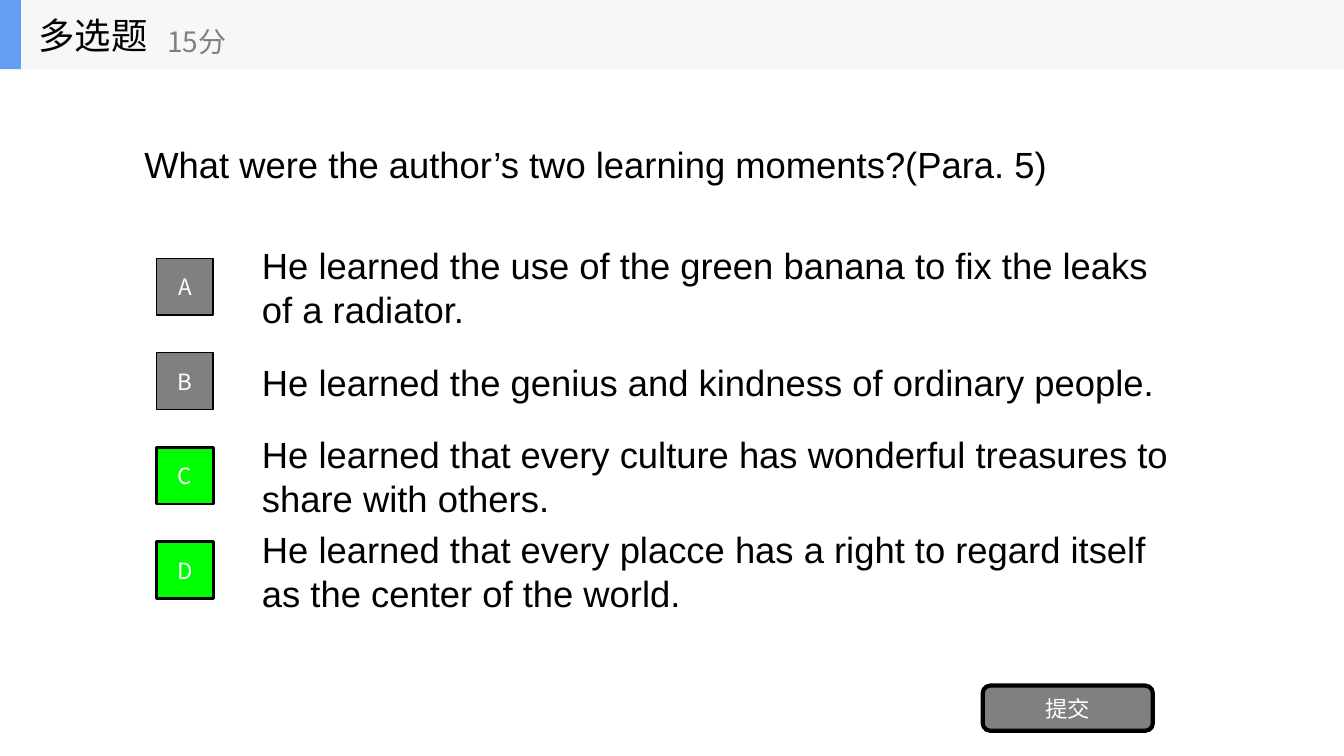
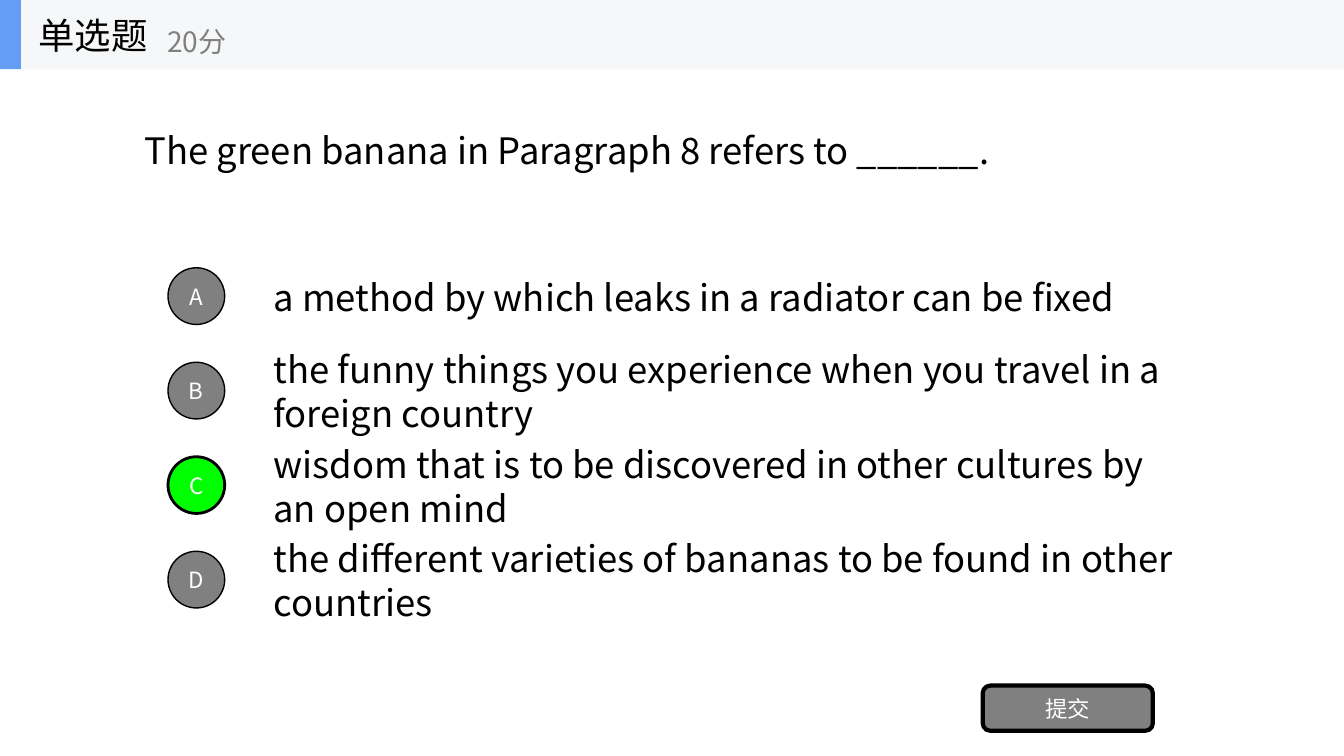
"""Build two quiz slides that share a header band, answer rows and a submit button."""
import pptx
import pptx.util
import pptx.dml.color
import pptx.enum.shapes
import pptx.enum.text
import pptx.oxml.ns
import lxml.etree

KIND = pptx.enum.shapes.MSO_SHAPE
ALIGN = pptx.enum.text.PP_ALIGN
HUES = {"ink": "000000", "gray": "808080", "right": "00FF00",
        "white": "FFFFFF", "band": "F6F7F8", "edge": "639EF4"}
SANS = "Noto Sans CJK SC"
WIDE, HIGH, BAND = 1280, 720, 66
PITCH, ROW, BADGE = 90, 67, 54
SUBMIT = "提交"

QUIZ = [
    {"title": "多选题", "score": "15分", "font": "Arial", "mark": KIND.RECTANGLE,
     "ask": "What were the author’s two learning moments?(Para. 5)",
     "deep": 181, "left": 149, "top": 240, "right": "CD",
     "rows": ["He learned the use of the green banana to fix the leaks of a radiator.",
              "He learned the genius and kindness of ordinary people.",
              "He learned that every culture has wonderful treasures to share with others.",
              "He learned that every placce has a right to regard itself as the center of the world."]},
    {"title": "单选题", "score": "20分", "font": SANS, "mark": KIND.OVAL,
     "ask": "The green banana in Paragraph 8 refers to ______.",
     "deep": 153, "left": 160, "top": 249, "right": "C",
     "rows": ["a method by which leaks in a radiator can be fixed",
              "the funny things you experience when you travel in a foreign country",
              "wisdom that is to be discovered in other cultures by an open mind",
              "the different varieties of bananas to be found in other countries"]},
]


def px(size):
    return pptx.util.Emu(size * 9525)


def tint(name):
    return pptx.dml.color.RGBColor.from_string(HUES[name])


def write(shape, text, size, hue="ink", font=SANS, align=ALIGN.LEFT, lead=None):
    frame = shape.text_frame
    frame.word_wrap = True
    frame.auto_size = pptx.enum.text.MSO_AUTO_SIZE.NONE
    frame.vertical_anchor = pptx.enum.text.MSO_ANCHOR.MIDDLE
    para = frame.paragraphs[0]
    para.alignment = align
    if lead:
        para.line_spacing = pptx.util.Pt(lead)
    run = para.add_run()
    run.text = text
    run.font.size = pptx.util.Pt(size)
    run.font.name = font
    run.font.color.rgb = tint(hue)
    east = lxml.etree.SubElement(run.font._element, pptx.oxml.ns.qn("a:ea"))
    east.set("typeface", font)


def label(slide, box, text, size, **style):
    write(slide.shapes.add_textbox(*map(px, box)), text, size, **style)


def block(slide, kind, box, fill, line=0, text=""):
    shape = slide.shapes.add_shape(kind, *map(px, box))
    shape.shadow.inherit = False
    shape.fill.solid()
    shape.fill.fore_color.rgb = tint(fill)
    if line:
        shape.line.color.rgb = tint("ink")
        shape.line.width = pptx.util.Pt(line)
    else:
        shape.line.fill.background()
    if text:
        write(shape, text, 16, "white", align=ALIGN.CENTER)
    return shape


def set_band(slide):
    layout = slide.slide_layout
    tree = layout.shapes.element
    for holder in list(layout.placeholders):
        if holder.placeholder_format.idx:
            tree.remove(holder.element)
    bars = [block(slide, KIND.RECTANGLE, (0, 0, wide, BAND), hue)
            for wide, hue in ((WIDE, "band"), (20, "edge"))]
    for spot, bar in enumerate(bars, 2):
        tree.insert(spot, bar.element)


def fill_slide(slide, quiz):
    title = slide.shapes.title
    title.left, title.top, title.width, title.height = map(px, (27, 0, 200, BAND))
    write(title, quiz["title"], 26)
    label(slide, (150, 12, 240, 54), quiz["score"], 20, hue="gray")
    label(slide, (128, BAND, 1024, quiz["deep"]), quiz["ask"], 26, font=quiz["font"])
    left = quiz["left"]
    for row, (key, text) in enumerate(zip("ABCD", quiz["rows"])):
        top = quiz["top"] + row * PITCH
        label(slide, (left + 91, top, 896, ROW), text, 26, font=quiz["font"], lead=31.2)
        fill, line = ("right", 2) if key in quiz["right"] else ("gray", 1)
        spot = (left, top + (ROW - BADGE) // 2, BADGE, BADGE)
        block(slide, quiz["mark"], spot, fill, line, key)
    block(slide, KIND.ROUNDED_RECTANGLE, (936, 653, 162, 43), "gray", 3, SUBMIT)


def main():
    deck = pptx.Presentation()
    deck.slide_width, deck.slide_height = px(WIDE), px(HIGH)
    layout = deck.slide_layouts[5]
    slides = [deck.slides.add_slide(layout) for _ in QUIZ]
    set_band(slides[0])
    for slide, quiz in zip(slides, QUIZ):
        fill_slide(slide, quiz)
    deck.save("out.pptx")


if __name__ == "__main__":
    main()
